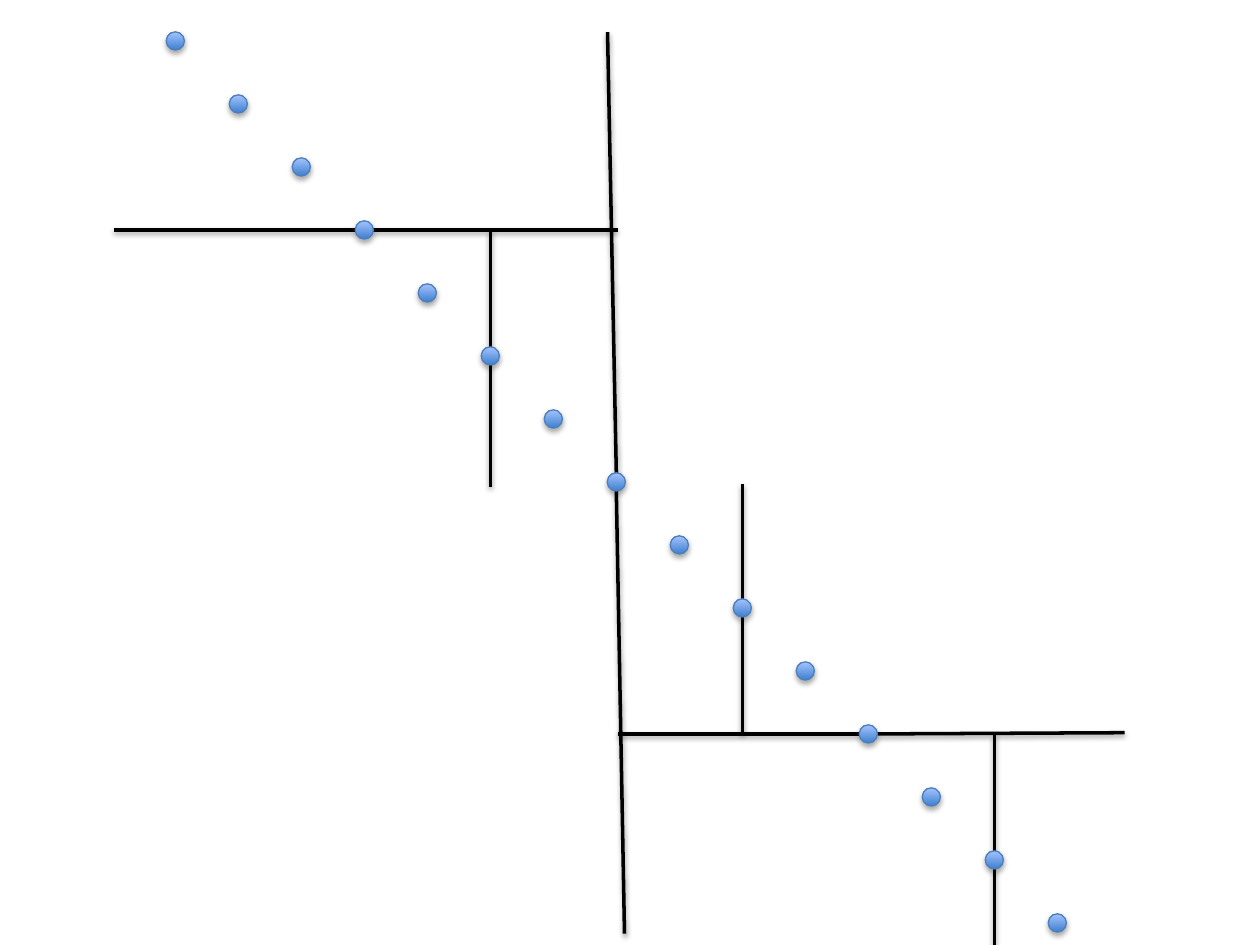
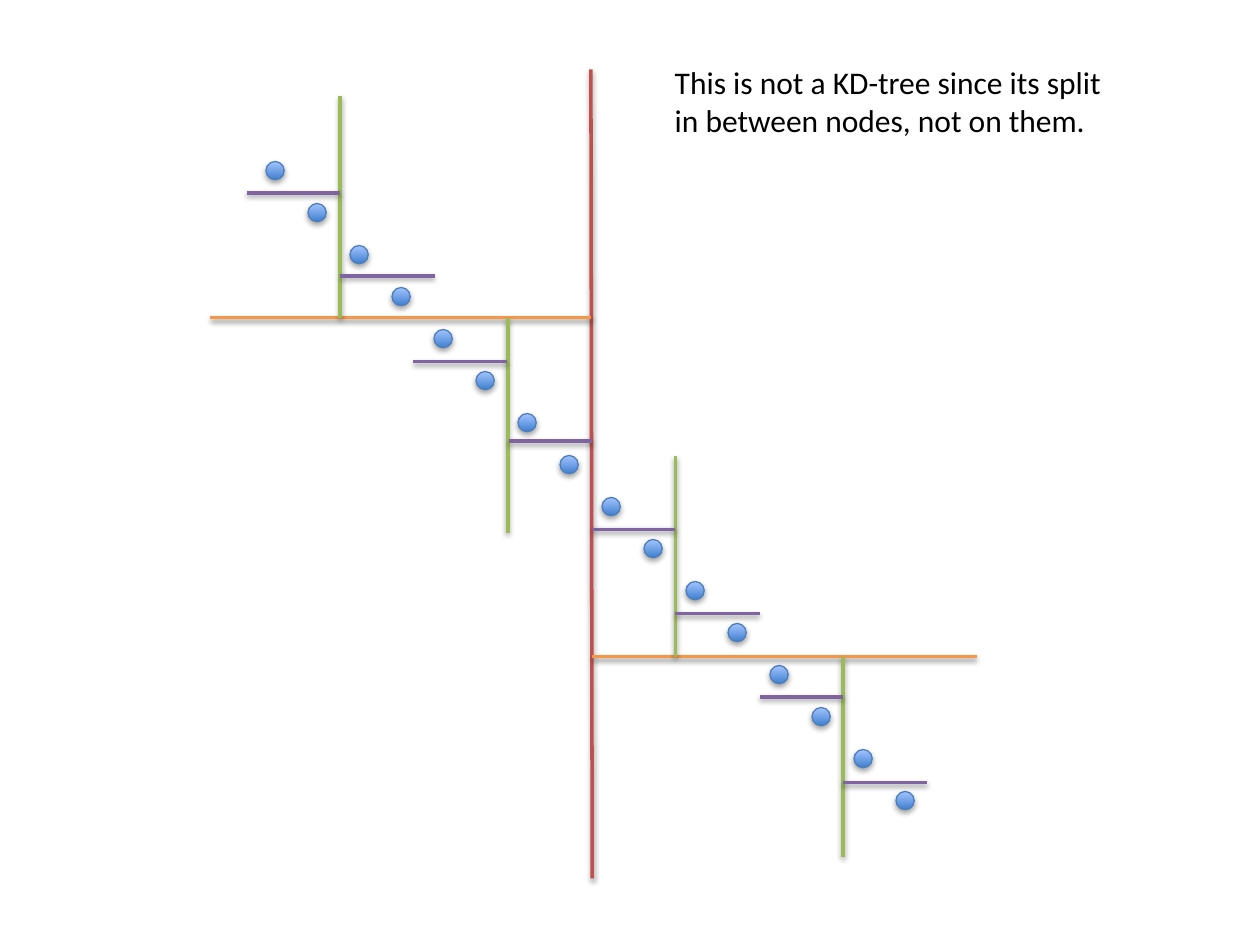
from lxml import etree
from pptx import Presentation
from pptx.dml.color import RGBColor
from pptx.enum import shapes, text
from pptx.oxml import ns
from pptx.util import Pt

HUES = {
    "ink": "000000",
    "low": "3F80CE",
    "high": "A4C4FF",
    "rim": "4B7EBC",
    "root": "C0504D",
    "second": "F79646",
    "third": "9BBB59",
    "leaf": "8064A2",
}
FONT = "Calibri"
SIZE = 10.4  # dot diameter


def hue(name):
    return RGBColor.from_string(HUES[name])


def shade(item, drop, alpha):
    """Give a shape or line a soft shadow straight below it."""
    props = item._element.spPr
    effects = etree.SubElement(props, ns.qn("a:effectLst"))
    outer = etree.SubElement(effects, ns.qn("a:outerShdw"), blurRad=str(Pt(3.1)),
                             dist=str(Pt(drop)), dir="5400000", rotWithShape="0")
    color = etree.SubElement(outer, ns.qn("a:srgbClr"), val=HUES["ink"])
    etree.SubElement(color, ns.qn("a:alpha"), val=str(alpha * 1000))


class Plot:
    """A diagonal of dots; places are counted in steps from the first dot."""

    def __init__(self, slide, left, top, step):
        self.slide, self.left, self.top, self.step = slide, left, top, step

    def spot(self, x, y):
        return Pt(self.left + x * self.step), Pt(self.top + y * self.step)

    def dots(self, count):
        for i in range(count):
            x, y = self.spot(i, i)
            dot = self.slide.shapes.add_shape(
                shapes.MSO_SHAPE.FLOWCHART_CONNECTOR,
                x - Pt(SIZE / 2), y - Pt(SIZE / 2), Pt(SIZE), Pt(SIZE))
            dot.fill.gradient()
            dot.fill.gradient_angle = 90
            for stop, name in zip(dot.fill.gradient_stops, ("low", "high")):
                stop.color.rgb = hue(name)
            dot.line.color.rgb = hue("rim")
            dot.line.width = Pt(0.75)
            shade(dot, 1.8, 35)

    def line(self, start, end, name):
        link = self.slide.shapes.add_connector(
            shapes.MSO_CONNECTOR.STRAIGHT, *self.spot(*start), *self.spot(*end))
        link.line.color.rgb = hue(name)
        link.line.width = Pt(2)
        shade(link, 1.6, 38)

    def split(self, i, start, end, flat):
        """Draw a line that passes through dot i, broken at its rim."""
        rim = SIZE / 2 / self.step
        dx, dy = (rim, 0) if flat else (0, rim)
        self.line(start, (i - dx, i - dy), "ink")
        self.line((i + dx, i + dy), end, "ink")


def on_nodes(slide, left, top):
    """Tree whose splits pass through the dots."""
    plot = Plot(slide, left, top, 36)
    plot.split(7, (6.86, -0.14), (7.13, 14.17), False)
    plot.split(3, (-0.98, 3), (7.02, 3), True)
    plot.split(11, (7.02, 11), (15.07, 10.98), True)
    for i, start, end in ((5, 3.02, 7.08), (9, 7.03, 11), (13, 11.02, 15.02)):
        plot.split(i, (i, start), (i, end), False)
    plot.dots(15)


def between(slide, left, top):
    """Tree whose splits run between the dots."""
    plot = Plot(slide, left, top, 24)
    plot.dots(16)
    plot.line((7.52, -2.41), (7.55, 16.85), "root")
    for y, start, end in ((11.57, 7.55, 16.7), (3.5, -1.54, 7.52)):
        plot.line((start, y), (end, y), "second")
    for x, start, end in ((9.53, 6.8, 11.57), (13.52, 11.57, 16.34),
                          (5.54, 3.5, 8.63), (1.55, -1.78, 3.5)):
        plot.line((x, start), (x, end), "third")
    for y, start, end in ((0.53, -0.67, 1.55), (2.51, 1.55, 3.8),
                          (4.55, 3.29, 5.53), (6.44, 5.56, 7.55),
                          (8.54, 7.55, 9.53), (10.55, 9.53, 11.54),
                          (12.53, 11.54, 13.52), (14.57, 13.52, 15.53)):
        plot.line((start, y), (end, y), "leaf")


def note(slide, left, top, width, height, words):
    box = slide.shapes.add_textbox(Pt(left), Pt(top), Pt(width), Pt(height))
    frame = box.text_frame
    frame.word_wrap = True
    frame.auto_size = text.MSO_AUTO_SIZE.SHAPE_TO_FIT_TEXT
    frame.text = words
    font = frame.paragraphs[0].runs[0].font
    font.name, font.size = FONT, Pt(18)
    font.color.rgb = hue("ink")


def main():
    deck = Presentation()
    deck.slide_width, deck.slide_height = Pt(720), Pt(540)
    first, second = (deck.slides.add_slide(deck.slide_layouts[6]) for _ in range(2))
    on_nodes(first, 100.2, 23.4)
    between(second, 157.2, 97.5)
    note(second, 378.5, 32.4, 266.4, 50.9,
         "This is not a KD-tree since its split in between nodes, not on them.")
    deck.save("out.pptx")


if __name__ == "__main__":
    main()
